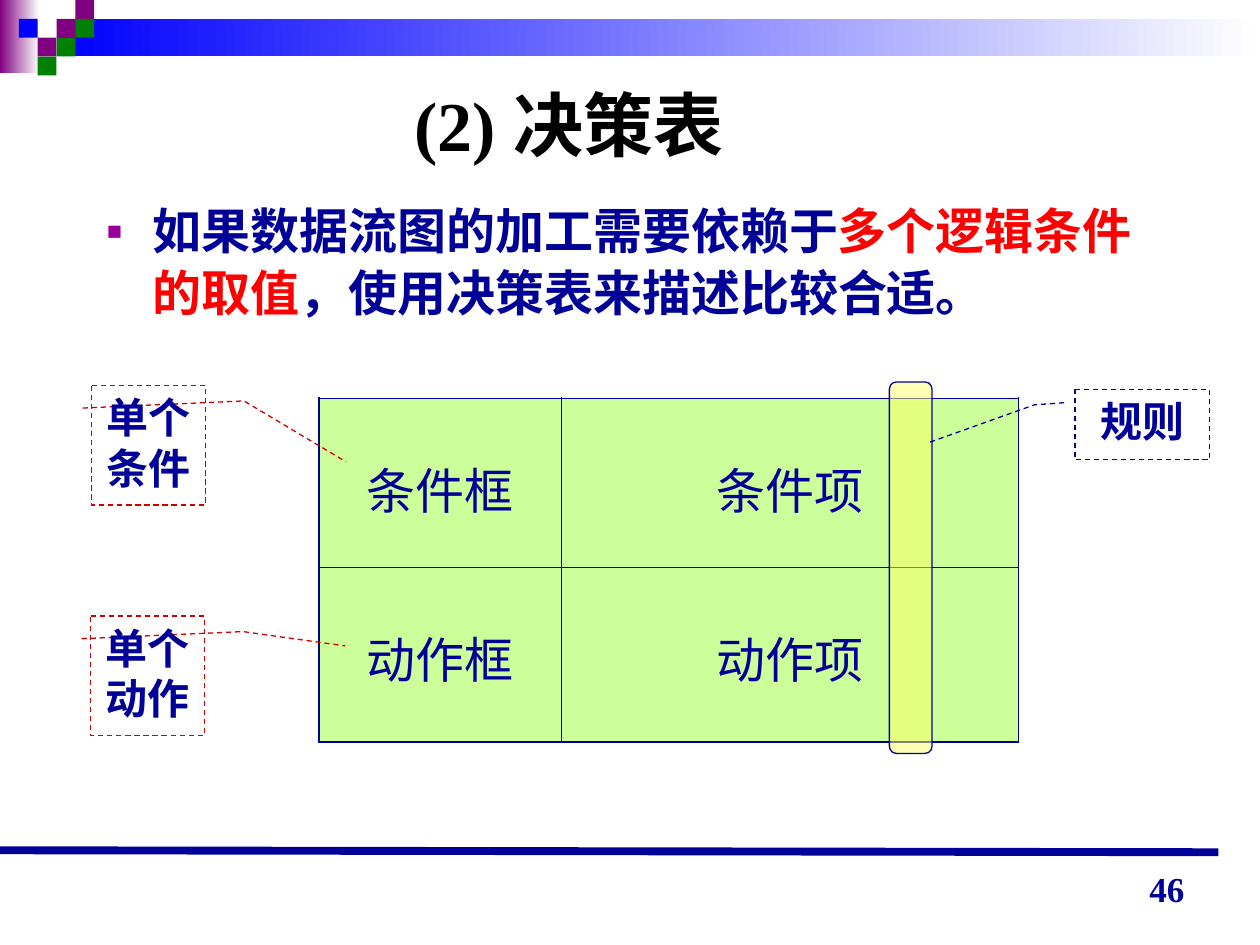
from lxml.etree import SubElement
from pptx import Presentation
from pptx.dml.color import RGBColor
from pptx.enum.dml import MSO_LINE
from pptx.enum.shapes import MSO_CONNECTOR, MSO_SHAPE
from pptx.enum.text import MSO_ANCHOR, MSO_AUTO_SIZE, PP_ALIGN
from pptx.oxml.ns import qn
from pptx.util import Cm, Pt

NAVY = RGBColor(0x00, 0x00, 0x99)
RED = RGBColor(0xFF, 0x00, 0x00)
DARK_RED = RGBColor(0xCC, 0x00, 0x00)
BLACK = RGBColor(0x00, 0x00, 0x00)
WHITE = RGBColor(0xFF, 0xFF, 0xFF)
PURPLE = RGBColor(0x80, 0x00, 0x80)
VIOLET = RGBColor(0x99, 0x00, 0x99)
GREEN = RGBColor(0x00, 0x80, 0x00)
BLUE = RGBColor(0x00, 0x00, 0xFF)
LIME = RGBColor(0xCC, 0xFF, 0x99)
YELLOW = RGBColor(0xFF, 0xFF, 0x66)


class PageBuilder:
    font_name = "Times New Roman"

    def __init__(self, page):
        self.page = page

    def style(self, span, size, color=NAVY, bold=True):
        span.font.name = self.font_name
        span.font.size = Pt(size)
        span.font.bold = bold
        span.font.color.rgb = color

    def place(self, box, left, top, width, height):
        box.left, box.top = Cm(left), Cm(top)
        box.width, box.height = Cm(width), Cm(height)

    def set_text(self, box, text, size, align, anchor, color=NAVY):
        frame = box.text_frame
        frame.word_wrap = True
        frame.auto_size = MSO_AUTO_SIZE.NONE
        frame.vertical_anchor = anchor
        frame.text = text
        para = frame.paragraphs[0]
        para.alignment = align
        self.style(para.runs[0], size, color)

    def shape(self, kind, left, top, width, height, fill=None, line=None):
        box = self.page.shapes.add_shape(kind, Cm(left), Cm(top), Cm(width), Cm(height))
        box.shadow.inherit = False
        if fill is None:
            box.fill.background()
        else:
            box.fill.solid()
            box.fill.fore_color.rgb = fill
        if line is None:
            box.line.fill.background()
        else:
            box.line.color.rgb = line
            box.line.width = Pt(0.75)
        return box

    def fading_bar(self, left, top, width, height, color):
        bar = self.shape(MSO_SHAPE.RECTANGLE, left, top, width, height)
        bar.fill.gradient()
        bar.fill.gradient_angle = 180
        for stop, stop_color in zip(bar.fill.gradient_stops, (WHITE, color)):
            stop.color.rgb = stop_color

    def line(self, start, end, color, width):
        rule = self.page.shapes.add_connector(
            MSO_CONNECTOR.STRAIGHT, *(Cm(value) for value in start + end))
        rule.line.color.rgb = color
        rule.line.width = Pt(width)
        SubElement(rule._element.spPr, qn("a:effectLst"))

    def title(self, text, *place):
        box = self.page.shapes.title
        self.place(box, *place)
        self.set_text(box, text, 40, PP_ALIGN.CENTER, MSO_ANCHOR.MIDDLE, BLACK)

    def bullet(self, parts, *place):
        box = self.page.placeholders[1]
        self.place(box, *place)
        frame = box.text_frame
        frame.auto_size = MSO_AUTO_SIZE.NONE
        para = frame.paragraphs[0]
        properties = para._p.get_or_add_pPr()
        properties.set("marL", str(Cm(0.95)))
        properties.set("indent", str(-Cm(0.95)))
        bullet_color = SubElement(properties, qn("a:buClr"))
        SubElement(bullet_color, qn("a:srgbClr"), val=str(VIOLET))
        SubElement(properties, qn("a:buChar"), char="▪")
        para.line_spacing = 1.05
        para.space_before = Pt(0)
        for text, color in parts:
            span = para.add_run()
            span.text = text
            self.style(span, 28, color)

    def border(self, cell, side, width):
        edge = SubElement(cell._tc.get_or_add_tcPr(), qn(f"a:ln{side}"), w=str(Pt(width)))
        fill = SubElement(edge, qn("a:solidFill"))
        SubElement(fill, qn("a:srgbClr"), val=str(NAVY))

    def table(self, rows, left, top, widths, heights):
        grid = self.page.shapes.add_table(
            len(rows), len(widths), Cm(left), Cm(top),
            Cm(sum(widths)), Cm(sum(heights))).table
        for column, width in zip(grid.columns, widths):
            column.width = Cm(width)
        for row, height in zip(grid.rows, heights):
            row.height = Cm(height)
        last_row, last_column = len(rows) - 1, len(widths) - 1
        for r, texts in enumerate(rows):
            for c, text in enumerate(texts):
                cell = grid.cell(r, c)
                # Outer edges are heavier than inner ones
                outer = {"L": c == 0, "R": c == last_column,
                         "T": r == 0, "B": r == last_row}
                for side, is_outer in outer.items():
                    self.border(cell, side, 1.08 if is_outer else 0.45)
                cell.fill.solid()
                cell.fill.fore_color.rgb = LIME
                cell.margin_top = Cm(1.1)
                cell.text = text
                para = cell.text_frame.paragraphs[0]
                para.alignment = PP_ALIGN.CENTER
                self.style(para.runs[0], 28, bold=False)

    def highlight(self, *place):
        box = self.shape(MSO_SHAPE.ROUNDED_RECTANGLE, *place, fill=YELLOW, line=NAVY)
        color = box._element.spPr.find(qn("a:solidFill")).find(qn("a:srgbClr"))
        SubElement(color, qn("a:alpha"), val="50000")

    def callout(self, text, place, leader, color):
        box = self.shape(MSO_SHAPE.LINE_CALLOUT_2, *place, line=color)
        box.line.dash_style = MSO_LINE.DASH
        for index, value in enumerate((0.19, -0.08) + leader):
            box.adjustments[index] = value
        self.set_text(box, text, 24, PP_ALIGN.CENTER, MSO_ANCHOR.TOP)

    def page_number(self, text, *place):
        box = self.page.shapes.add_textbox(*(Cm(value) for value in place))
        self.set_text(box, text, 20, PP_ALIGN.RIGHT, MSO_ANCHOR.BOTTOM)


def main():
    deck = Presentation()
    deck.slide_width, deck.slide_height = Cm(25.4), Cm(19.05)
    builder = PageBuilder(deck.slides.add_slide(deck.slide_layouts[1]))

    # Header bars and checker squares on a grid
    builder.fading_bar(0, 0, 0.79, 1.47, PURPLE)
    builder.fading_bar(1.14, 0.38, 24.26, 0.76, BLUE)
    square = 0.38
    for column, row, color in ((3, 1, PURPLE), (4, 0, PURPLE), (4, 1, GREEN),
                               (2, 2, PURPLE), (1, 1, BLUE), (3, 2, GREEN),
                               (2, 3, GREEN)):
        builder.shape(MSO_SHAPE.RECTANGLE, column * square, row * square,
                      square, square, fill=color)

    # Footer rule
    builder.line((0, 17.14), (24.56, 17.18), NAVY, 4.5)

    # Title and statement
    builder.title("(2) 决策表", 3, 1.42, 16.94, 2.16)
    builder.bullet((("如果数据流图的加工需要依赖于", NAVY),
                    ("多个逻辑条件的取值", RED),
                    ("，使用决策表来描述比较合适。", NAVY)),
                   1.88, 3.86, 21.67, 3.45)

    # Decision table with one rule column marked
    builder.table((("条件框", "条件项"), ("动作框", "动作项")),
                  6.43, 8.03, (4.88, 9.22), (3.4, 3.53))
    builder.highlight(17.93, 7.7, 0.86, 7.49)

    # Callouts
    builder.callout("规则", (21.67, 7.85, 2.72, 1.42),
                    (0.22, -0.3, 0.76, -1.09), NAVY)
    for text, left, top, target in (("单个条件", 1.85, 7.77, 0.64),
                                    ("单个动作", 1.83, 12.42, 0.25)):
        builder.callout(text, (left, top, 2.29, 2.41),
                        (0.13, 1.34, target, 2.24), DARK_RED)

    builder.page_number("46", 18.21, 17.2, 5.92, 1.27)
    deck.save("out.pptx")


if __name__ == "__main__":
    main()
